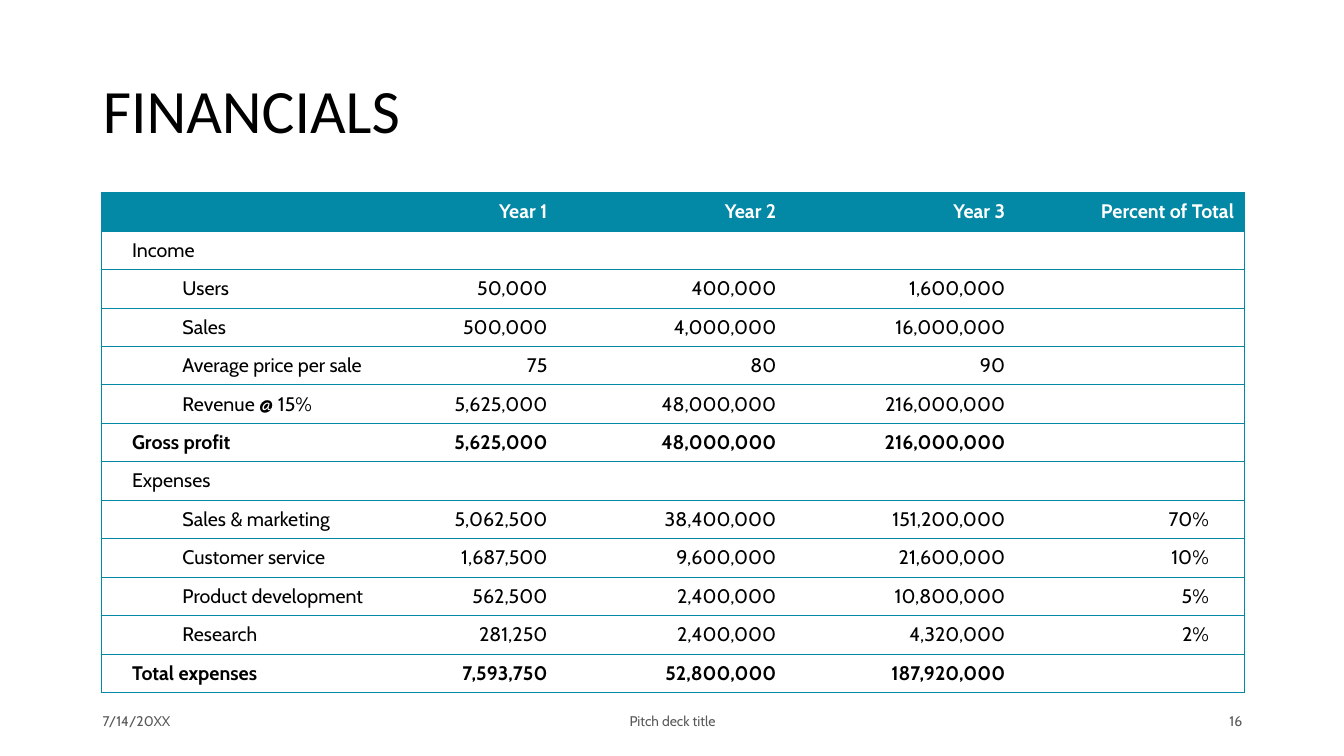
from dataclasses import dataclass
from lxml.etree import SubElement as Sub
from pptx import Presentation
from pptx.dml.color import RGBColor as Rgb
from pptx.enum.text import MSO_ANCHOR as Anchor, MSO_AUTO_SIZE as Auto, PP_ALIGN as Align
from pptx.oxml.ns import qn
from pptx.util import Inches, Pt

HUES = {"teal": "0388A6", "white": "FFFFFF", "black": "000000", "gray": "595959"}
HEADS = ("", "Year 1", "Year 2", "Year 3", "Percent of Total")
WIDTHS = (2.95, 1.58, 2.27, 2.27, 2.27)
TOP, HIGH = 1.91, 4.96


@dataclass
class Row:
    label: str
    vals: tuple = ()
    level: int = 0
    bold: bool = False


@dataclass
class Note:
    text: str
    left: float
    width: float
    align: Align


ROWS = (
    Row("Income"),
    Row("Users", ("50,000", "400,000", "1,600,000"), 1),
    Row("Sales", ("500,000", "4,000,000", "16,000,000"), 1),
    Row("Average price per sale", ("75", "80", "90"), 1),
    Row("Revenue @ 15%", ("5,625,000", "48,000,000", "216,000,000"), 1),
    Row("Gross profit", ("5,625,000", "48,000,000", "216,000,000"), bold=True),
    Row("Expenses"),
    Row("Sales & marketing", ("5,062,500", "38,400,000", "151,200,000", "70%"), 1),
    Row("Customer service", ("1,687,500", "9,600,000", "21,600,000", "10%"), 1),
    Row("Product development", ("562,500", "2,400,000", "10,800,000", "5%"), 1),
    Row("Research", ("281,250", "2,400,000", "4,320,000", "2%"), 1),
    Row("Total expenses", ("7,593,750", "52,800,000", "187,920,000"), bold=True),
)
NOTES = (
    Note("7/14/20XX", 0.92, 3, Align.LEFT),
    Note("Pitch deck title", 4.42, 4.5, Align.CENTER),
    Note("16", 9.42, 3, Align.RIGHT),
)


def assign(item, form: dict) -> None:
    for key, val in form.items():
        setattr(item, key, val)


def write(para, text: str, size: int, hue: str, face: str = "Cabin", bold: bool = False) -> None:
    if not text:
        Sub(para._p, qn("a:endParaRPr"), sz=str(size * 100))
        return
    run = para.add_run()
    run.text = text
    assign(run.font, {"size": Pt(size), "name": face, "bold": bold})
    run.font.color.rgb = Rgb.from_string(HUES[hue])


def edge(cell, sides: str) -> None:
    props = cell._tc.get_or_add_tcPr()
    for side in "LRTB":
        line = Sub(props, qn(f"a:ln{side}"), w=str(Pt(0.5)))
        if side in sides:
            fill = Sub(line, qn("a:solidFill"))
            Sub(fill, qn("a:srgbClr"), val=HUES["teal"])
        else:
            Sub(line, qn("a:noFill"))


def draw_cell(cell, text: str, col: int, row: Row, head: bool) -> None:
    edge(cell, "TB" + ("L" if col == 0 else "") + ("R" if col == len(WIDTHS) - 1 else ""))
    if head:
        cell.fill.solid()
        cell.fill.fore_color.rgb = Rgb.from_string(HUES["teal"])
    else:
        cell.fill.background()
    assign(cell, {
        "vertical_anchor": Anchor.MIDDLE,
        "margin_left": Inches(0.31 if col == 0 else 0.1),
        "margin_right": Inches(0.35 if col == 4 and not head else 0.1),
        "margin_top": Inches(0.05),
        "margin_bottom": Inches(0.05),
    })
    para = cell.text_frame.paragraphs[0]
    para.alignment = Align.RIGHT if col else Align.LEFT
    if col == 0 and row.level:
        para.level = row.level
        props = para._p.get_or_add_pPr()
        props.set("marL", str(Inches(0.5)))
        props.set("indent", "0")
    write(para, text, 14, "white" if head else "black", bold=row.bold)


def draw_table(slide) -> None:
    rows = (Row(HEADS[0], HEADS[1:], bold=True),) + ROWS
    table = slide.shapes.add_table(
        len(rows), len(WIDTHS), Inches(1), Inches(TOP), Inches(sum(WIDTHS)), Inches(HIGH)
    ).table
    table.horz_banding = False
    for col, width in zip(table.columns, WIDTHS):
        col.width = Inches(width)
    for num, row in enumerate(rows):
        table.rows[num].height = Inches(HIGH / len(rows))
        texts = (row.label, *row.vals) + ("",) * (len(WIDTHS) - 1 - len(row.vals))
        for col, text in enumerate(texts):
            draw_cell(table.cell(num, col), text, col, row, num == 0)


def draw_title(slide) -> None:
    title = slide.shapes.title
    assign(title, {"left": Inches(0.92), "top": Inches(0.4),
                   "width": Inches(11.5), "height": Inches(1.45)})
    assign(title.text_frame, {"vertical_anchor": Anchor.MIDDLE,
                              "auto_size": Auto.NONE, "word_wrap": True})
    para = title.text_frame.paragraphs[0]
    assign(para, {"alignment": Align.LEFT, "line_spacing": 0.9})
    write(para, "FINANCIALS", 44, "black", "Calibri")


def draw_note(slide, note: Note) -> None:
    box = slide.shapes.add_textbox(
        Inches(note.left), Inches(6.95), Inches(note.width), Inches(0.4))
    assign(box.text_frame, {"vertical_anchor": Anchor.MIDDLE, "word_wrap": True})
    para = box.text_frame.paragraphs[0]
    para.alignment = note.align
    write(para, note.text, 10, "gray")


def main() -> None:
    deck = Presentation()
    assign(deck, {"slide_width": Inches(13.33), "slide_height": Inches(7.5)})
    slide = deck.slides.add_slide(deck.slide_layouts[5])
    draw_title(slide)
    draw_table(slide)
    for note in NOTES:
        draw_note(slide, note)
    deck.save("out.pptx")


if __name__ == "__main__":
    main()
